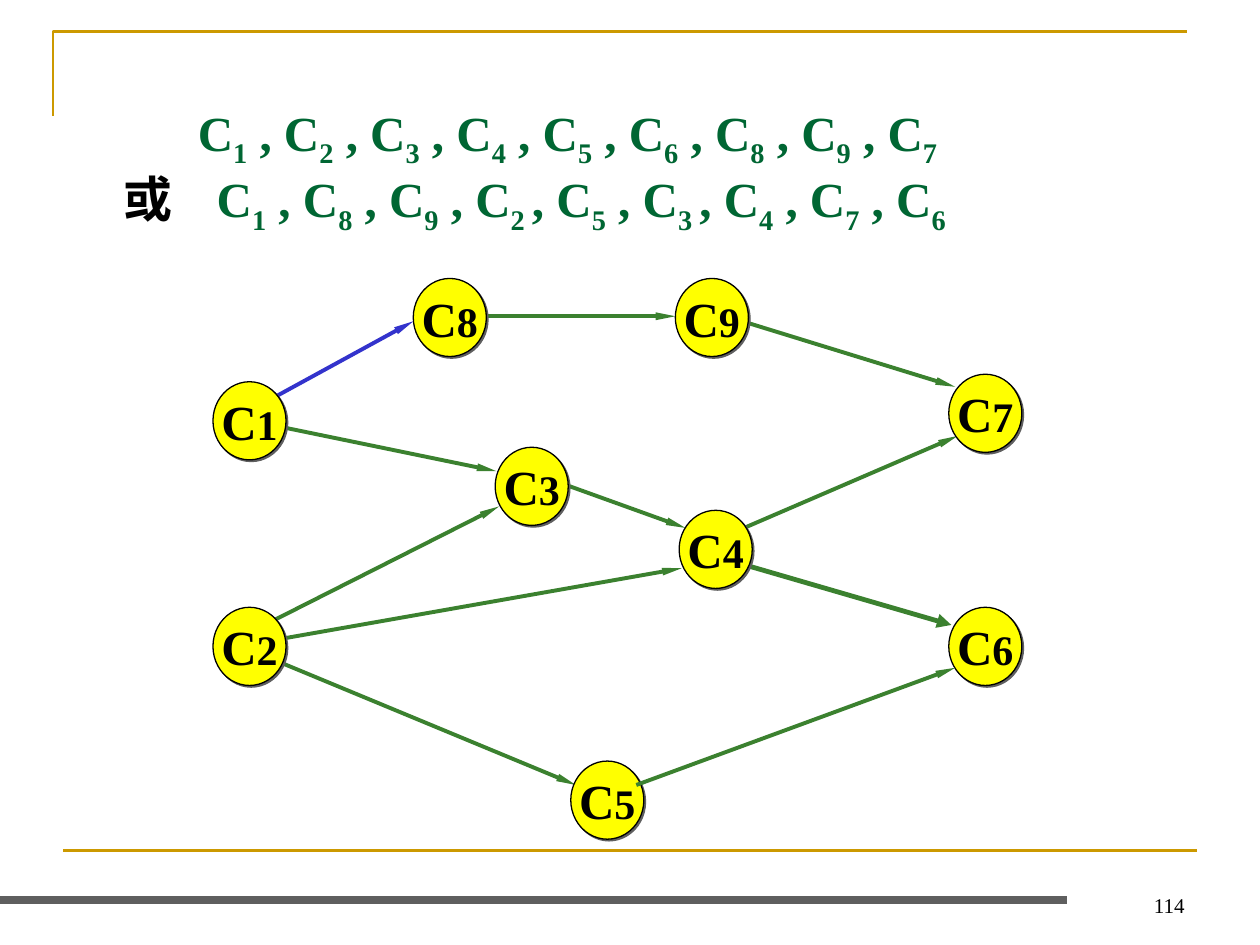
import pptx
import pptx.util
import pptx.dml.color
import pptx.enum.shapes
import pptx.enum.text
import pptx.oxml
import pptx.oxml.ns

Pt = pptx.util.Pt
ALIGN = pptx.enum.text.PP_ALIGN
ANCHOR = pptx.enum.text.MSO_ANCHOR
NS = pptx.oxml.ns.nsdecls("a")
FONT = "Times New Roman"
GOLD, GREY, GREEN, BLUE = "CC9900", "5F5F5F", "3B812F", "3333CC"

# Left and top of each node, on a grid of 100 columns by 75 rows
NODES = {
    8: (32.8, 22.1), 3: (39.3, 35.5), 5: (45.3, 60.4),
    4: (53.9, 40.5), 9: (53.6, 22.1), 6: (75.3, 48.2),
    7: (75.3, 29.7), 1: (16.9, 30.3), 2: (16.9, 48.2),
}
NODE_W, NODE_H = 5.8, 6.2

# Arrows as start and end on the same grid
EDGES = [
    (21.2, 50.9, 54.1, 45.1),   # C2 to C4
    (44.4, 38.3, 54.4, 41.9),   # C3 to C4
    (58.6, 25.4, 75.8, 30.7),   # C9 to C7
    (57.9, 42.4, 76, 34.6),     # C4 to C7
    (36.1, 25.1, 53.6, 25.1),   # C8 to C9
    (21.1, 52.1, 45.7, 62.3),   # C2 to C5
    (21, 49.6, 39.6, 40.2),     # C2 to C3
    (18.5, 33.1, 39.4, 37.4),   # C1 to C3
]

# Text between bars is set as a subscript
FIRST = "C|1| , C|2| , C|3| , C|4| , C|5| , C|6| , C|8| , C|9| , C|7"
OTHER = "C|1| , C|8| , C|9| , C|2 |, C|5| , C|3 |, C|4| , C|7| , C|6"


def grid(*cells):
    return [pptx.util.Inches(cell / 10) for cell in cells]


def color(code):
    return pptx.dml.color.RGBColor.from_string(code)


def write(para, text, size=28, bold=True, ink="000000", sub=False):
    run = para.add_run()
    run.text = text
    font = run.font
    font.name, font.size, font.bold = FONT, Pt(size), bold
    font.color.rgb = color(ink)
    if sub:
        run._r.get_or_add_rPr().set("baseline", "-25000")


def series(para, text):
    for i, part in enumerate(text.split("|")):
        write(para, part, ink="006633", sub=i % 2 == 1)


def indent(para, left, first=0):
    props = para._p.get_or_add_pPr()
    props.set("marL", str(grid(left)[0]))
    props.set("indent", str(grid(first)[0]))
    props.append(pptx.oxml.parse_xml(f"<a:buNone {NS}/>"))
    para.space_before = Pt(0)


def rule(slide, ends, ink, width, head=None):
    line = slide.shapes.add_connector(
        pptx.enum.shapes.MSO_CONNECTOR.STRAIGHT, *grid(*ends))
    line.line.color.rgb = color(ink)
    line.line.width = Pt(width)
    props = line._element.spPr
    if head:
        wide, long = head
        props.find(pptx.oxml.ns.qn("a:ln")).append(pptx.oxml.parse_xml(
            f'<a:tailEnd {NS} type="triangle" w="{wide}" len="{long}"/>'))
    props.append(pptx.oxml.parse_xml(f"<a:effectLst {NS}/>"))


def arrow(slide, ends, ink=GREEN, width=2.25, head=("sm", "lg")):
    rule(slide, ends, ink, width, head)


def node(slide, num, left, top):
    oval = slide.shapes.add_shape(
        pptx.enum.shapes.MSO_SHAPE.OVAL, *grid(left, top, NODE_W, NODE_H))
    oval.fill.solid()
    oval.fill.fore_color.rgb = color("FFFF00")
    oval.line.color.rgb = color("000000")
    oval.line.width = Pt(0.75)
    # Hard grey shadow to the lower right
    oval.shadow.inherit = False
    oval._element.spPr.find(pptx.oxml.ns.qn("a:effectLst")).append(
        pptx.oxml.parse_xml(
            f'<a:outerShdw {NS} dist="{Pt(1.4)}" dir="2700000" algn="ctr" '
            f'rotWithShape="0"><a:srgbClr val="{GREY}"/></a:outerShdw>'))
    frame = oval.text_frame
    frame.word_wrap = False
    frame.vertical_anchor = ANCHOR.MIDDLE
    para = frame.paragraphs[0]
    para.alignment = ALIGN.CENTER
    write(para, "C")
    write(para, str(num), size=24)


def border(slide):
    x, y = grid(4.2, 9.2)
    path = slide.shapes.build_freeform(x, y)
    path.add_line_segments([grid(4.2, 2.5), grid(94.2, 2.5)], close=False)
    shape = path.convert_to_shape()
    shape.fill.background()
    shape.line.color.rgb = color(GOLD)
    shape.line.width = Pt(1.5)
    shape.shadow.inherit = False
    rule(slide, (5, 67.5, 95, 67.5), GOLD, 1.5)
    rule(slide, (0, 71.4, 84.7, 71.4), GREY, 4.5)


def number(slide):
    frame = slide.shapes.add_textbox(*grid(71.7, 68.3, 23.3, 5)).text_frame
    frame.word_wrap = True
    frame.vertical_anchor = ANCHOR.BOTTOM
    para = frame.paragraphs[0]
    para.alignment = ALIGN.RIGHT
    write(para, "114", size=12, bold=False)


def orders(slide):
    body = slide.placeholders[1]
    body.left, body.top, body.width, body.height = grid(5, 7.6, 90, 13.6)
    frame = body.text_frame
    frame.auto_size = pptx.enum.text.MSO_AUTO_SIZE.NONE
    frame.vertical_anchor = ANCHOR.TOP
    para = frame.paragraphs[0]
    indent(para, 9.7)
    series(para, FIRST)
    para = frame.add_paragraph()
    indent(para, 11.2, -7.4)
    write(para, "或\t")
    series(para, OTHER)


def main():
    deck = pptx.Presentation()
    deck.slide_width, deck.slide_height = grid(100, 75)
    slide = deck.slides.add_slide(deck.slide_layouts[1])
    title = slide.shapes.title._element
    title.getparent().remove(title)

    # Frame, page number and the two orders
    border(slide)
    number(slide)
    orders(slide)

    # Course graph
    for ends in EDGES:
        arrow(slide, ends)
    arrow(slide, (59, 44.8, 75.5, 49.6), width=2.75, head=("med", "med"))
    arrow(slide, (21.1, 31.9, 32.8, 25.5), ink=BLUE)
    for num, spot in NODES.items():
        node(slide, num, *spot)
    arrow(slide, (50.5, 62.3, 75.8, 53))   # C5 to C6, above the nodes

    deck.save("out.pptx")


if __name__ == "__main__":
    main()
